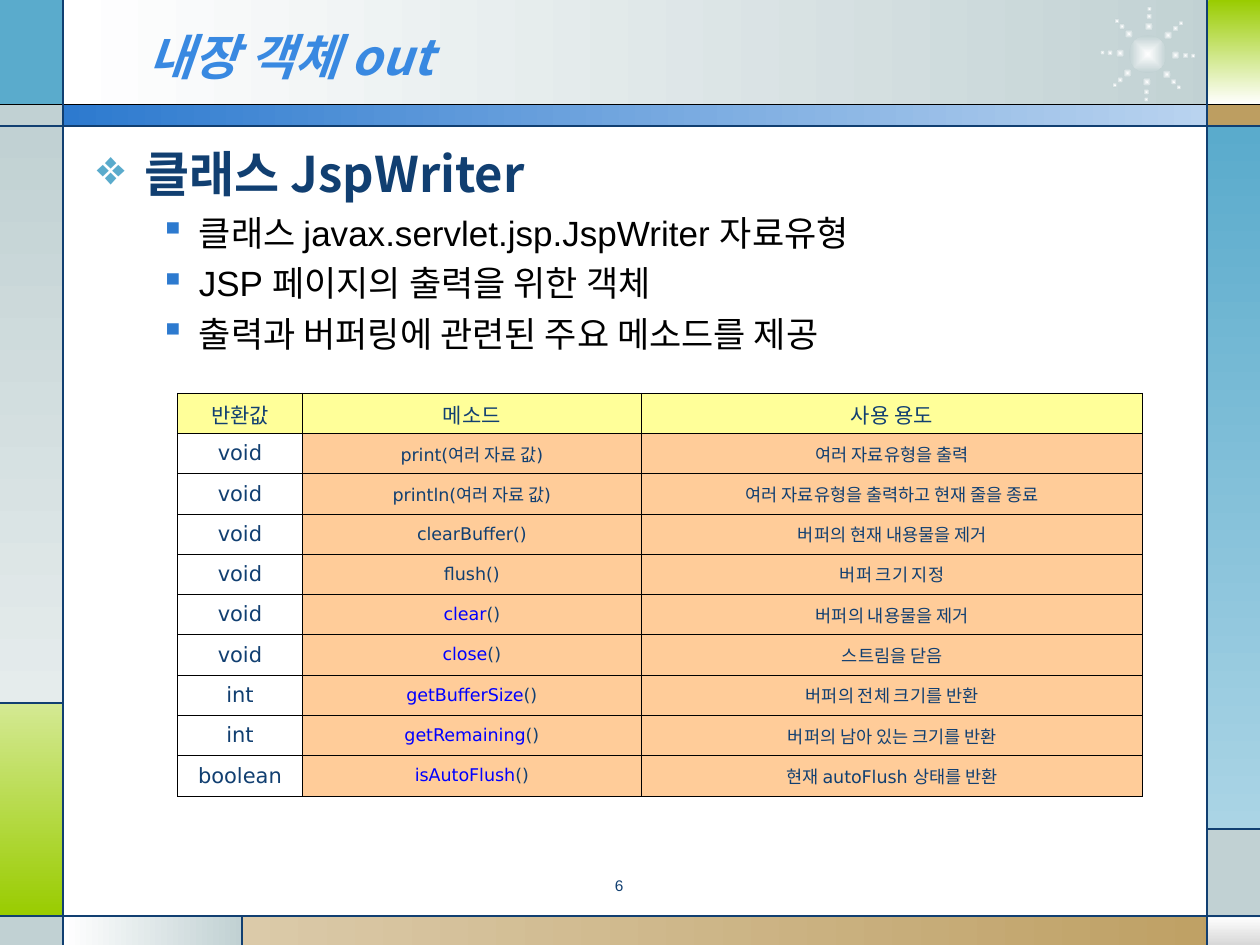
import math

from lxml import etree
from pptx import Presentation
from pptx.dml.color import RGBColor
from pptx.enum.shapes import MSO_CONNECTOR, MSO_SHAPE
from pptx.enum.text import MSO_ANCHOR, PP_ALIGN
from pptx.oxml.ns import qn
from pptx.util import Inches, Pt

RECT, OVAL = MSO_SHAPE.RECTANGLE, MSO_SHAPE.OVAL
STRAIGHT = MSO_CONNECTOR.STRAIGHT
LEFT, CENTER = PP_ALIGN.LEFT, PP_ALIGN.CENTER
TOP, MIDDLE = MSO_ANCHOR.TOP, MSO_ANCHOR.MIDDLE

WHITE = RGBColor(0xFF, 0xFF, 0xFF)
BLACK = RGBColor(0, 0, 0)
NAVY = RGBColor(0x11, 0x3F, 0x71)
TITLE_BLUE = RGBColor(0x39, 0x89, 0xE1)
BAR_BLUE = RGBColor(0x2D, 0x7A, 0xCF)
PALE_BLUE = RGBColor(0xB9, 0xD3, 0xEF)
TEAL = RGBColor(0x5A, 0xAB, 0xCC)
PALE_TEAL = RGBColor(0xAA, 0xD4, 0xE5)
MIST = RGBColor(0xC1, 0xD1, 0xD3)
PALE_MIST = RGBColor(0xE5, 0xEC, 0xEC)
SILVER = RGBColor(0xD8, 0xD8, 0xD8)
GREEN = RGBColor(0x99, 0xCC, 0x00)
PALE_GREEN = RGBColor(0xD4, 0xE9, 0x93)
TAN = RGBColor(0xBD, 0x9E, 0x61)
PALE_TAN = RGBColor(0xDB, 0xCA, 0xA9)
YELLOW = RGBColor(0xFF, 0xFF, 0x99)
PEACH = RGBColor(0xFF, 0xCC, 0x99)
LINK_BLUE = RGBColor(0, 0, 0xFF)

KOREAN = "Noto Sans CJK KR"
TITLE = {"name": KOREAN, "size": Pt(28), "bold": True, "italic": True}
HEADING = {"name": KOREAN, "size": Pt(28), "bold": True}
BODY = {"name": "Arial", "size": Pt(20)}
PAGE = {"name": "Arial", "size": Pt(8.8)}
CELL = {"name": "DejaVu Sans", "size": Pt(12)}
SMALL_CELL = {"name": "DejaVu Sans", "size": Pt(10)}
CELL_MARGINS = {"margin_left": Inches(0.07), "margin_right": Inches(0.07),
                "margin_top": Inches(0.05), "margin_bottom": Inches(0.05)}

ACROSS, DOWN = 0, 270
BANDS = [  # left, top, width, height, colours, gradient angle
    (0.5, 0, 9.27, 0.84, (WHITE, MIST), ACROSS),
    (0, 0, 0.5, 0.84, (TEAL,), None),
    (0, 0.83, 0.5, 0.17, (MIST,), None),
    (0, 1, 0.5, 4.58, (MIST, PALE_MIST), DOWN),
    (0, 5.58, 0.5, 1.69, (PALE_GREEN, GREEN), DOWN),
    (0, 7.27, 0.5, 0.23, (MIST,), None),
    (0.5, 7.27, 1.42, 0.23, (WHITE, MIST), ACROSS),
    (1.92, 7.27, 8.08, 0.23, (PALE_TAN, TAN), ACROSS),
    (9.58, 7.27, 0.42, 0.23, (WHITE, SILVER), DOWN),
    (9.58, 6.58, 0.42, 0.7, (MIST,), None),
    (9.58, 1, 0.42, 5.58, (TEAL, PALE_TEAL), DOWN),
    (9.58, 0.83, 0.42, 0.17, (TAN,), None),
    (9.59, 0, 0.41, 0.83, (GREEN, WHITE), DOWN),
    (0.5, 0.83, 9.08, 0.17, (BAR_BLUE, PALE_BLUE), ACROSS),
]
RULES = [  # from x, from y, to x, to y, colour
    (0, 0.83, 10, 0.83, BLACK),
    (0, 1, 10, 1, NAVY),
    (0, 7.27, 10, 7.27, NAVY),
    (0.5, 0, 0.5, 7.5, NAVY),
    (9.58, 0, 9.58, 7.5, NAVY),
    (0, 5.58, 0.5, 5.58, NAVY),
    (1.92, 7.27, 1.92, 7.5, NAVY),
    (9.58, 6.58, 10, 6.58, NAVY),
]
BURST_CENTER = (9.11, 0.43)
BURST_DOTS = [(0.22, 0.07), (0.3, 0.05), (0.36, 0.04)]  # radius, size

POINTS = ["클래스 javax.servlet.jsp.JspWriter 자료유형",
          "JSP 페이지의 출력을 위한 객체",
          "출력과 버퍼링에 관련된 주요 메소드를 제공"]
COLUMNS = [0.99, 2.69, 3.98]
HEADERS = ["반환값", "메소드", "사용 용도"]
METHODS = [  # return type, linked name, rest of the call, use
    ("void", "", "print(여러 자료 값)", "여러 자료유형을 출력"),
    ("void", "", "println(여러 자료 값)", "여러 자료유형을 출력하고 현재 줄을 종료"),
    ("void", "", "clearBuffer()", "버퍼의 현재 내용물을 제거"),
    ("void", "", "flush()", "버퍼 크기 지정"),
    ("void", "clear", "()", "버퍼의 내용물을 제거"),
    ("void", "close", "()", "스트림을 닫음"),
    ("int", "getBufferSize", "()", "버퍼의 전체 크기를 반환"),
    ("int", "getRemaining", "()", "버퍼의 남아 있는 크기를 반환"),
    ("boolean", "isAutoFlush", "()", "현재 autoFlush 상태를 반환"),
]


def set_all(target, values):
    for name, value in values.items():
        setattr(target, name, value)


def add_color(parent, color):
    fill = etree.SubElement(parent, qn("a:solidFill"))
    etree.SubElement(fill, qn("a:srgbClr"), val=str(color))


class SlideBuilder:
    def __init__(self, slide, east_asian):
        self.shapes = slide.shapes
        self.east_asian = east_asian

    def block(self, kind, box, colors, angle=None):
        """Draw a borderless shape in one colour or a two-colour gradient."""
        shape = self.shapes.add_shape(kind, *map(Inches, box))
        shape.shadow.inherit = False
        shape.line.fill.background()
        if len(colors) == 1:
            shape.fill.solid()
            shape.fill.fore_color.rgb = colors[0]
            return shape
        shape.fill.gradient()
        shape.fill.gradient_angle = angle or 0
        for stop, color, position in zip(shape.fill.gradient_stops, colors, (0, 1)):
            stop.color.rgb = color
            stop.position = position
        return shape

    def glow(self, x, y, size):
        """Draw a dot that fades outwards from its middle."""
        dot = self.block(OVAL, (x - size / 2, y - size / 2, size, size), (WHITE, MIST))
        gradient = dot._element.spPr.find(qn("a:gradFill"))
        gradient.remove(gradient.find(qn("a:lin")))
        fade = etree.SubElement(gradient, qn("a:path"), {"path": "rect"})
        etree.SubElement(fade, qn("a:fillToRect"), l="50000", t="50000", r="50000", b="50000")

    def rule(self, x1, y1, x2, y2, color):
        line = self.shapes.add_connector(STRAIGHT, *map(Inches, (x1, y1, x2, y2)))
        line.line.color.rgb = color
        line.line.width = Pt(0.75)
        etree.SubElement(line._element.spPr, qn("a:effectLst"))

    def text_frame(self, box, anchor=TOP):
        frame = self.shapes.add_textbox(*map(Inches, box)).text_frame
        frame.word_wrap = True
        frame.vertical_anchor = anchor
        return frame

    def add_text(self, paragraph, text, style, color, align=LEFT):
        paragraph.alignment = align
        run = paragraph.add_run()
        run.text = text
        set_all(run.font, style)
        run.font.color.rgb = color
        etree.SubElement(run._r.get_or_add_rPr(), qn("a:ea"), typeface=self.east_asian)

    def bullet(self, paragraph, char, color, margin, hanging, before):
        paragraph.space_before = Pt(before)
        props = paragraph._p.get_or_add_pPr()
        props.set("marL", str(Inches(margin)))
        props.set("indent", str(-Inches(hanging)))
        tint = etree.SubElement(props, qn("a:buClr"))
        etree.SubElement(tint, qn("a:srgbClr"), val=str(color))
        etree.SubElement(props, qn("a:buChar"), char=char)

    def table(self, left, top, widths, row_height, row_count):
        table = self.shapes.add_table(
            row_count, len(widths), Inches(left), Inches(top),
            Inches(sum(widths)), Inches(row_height * row_count)).table
        set_all(table, {"first_row": False, "horz_banding": False})
        for column, width in zip(table.columns, widths):
            column.width = Inches(width)
        return table

    def cell(self, cell, parts, style, fill=None):
        """Fill a bordered cell with (text, colour) parts."""
        set_all(cell, {**CELL_MARGINS, "vertical_anchor": MIDDLE})
        for text, color in parts:
            self.add_text(cell.text_frame.paragraphs[0], text, style, color, CENTER)
        props = cell._tc.get_or_add_tcPr()
        for side in ("a:lnL", "a:lnR", "a:lnT", "a:lnB"):
            add_color(etree.SubElement(props, qn(side), w=str(Pt(0.45))), BLACK)
        if fill is None:
            cell.fill.background()
        else:
            cell.fill.solid()
            cell.fill.fore_color.rgb = fill


def main():
    deck = Presentation()
    deck.slide_width, deck.slide_height = Inches(10), Inches(7.5)
    builder = SlideBuilder(deck.slides.add_slide(deck.slide_layouts[6]), KOREAN)

    for *box, colors, angle in BANDS:
        builder.block(RECT, box, colors, angle)
    center_x, center_y = BURST_CENTER
    builder.glow(center_x, center_y, 0.3)
    for ray in range(8):
        turn = math.radians(45 * ray + 2)
        for radius, size in BURST_DOTS:
            builder.glow(center_x + radius * math.cos(turn),
                         center_y + radius * math.sin(turn), size)
    for rule in RULES:
        builder.rule(*rule)

    title = builder.text_frame((1.08, 0.13, 7.33, 0.62), MIDDLE)
    builder.add_text(title.paragraphs[0], "내장 객체 out", TITLE, TITLE_BLUE)

    body = builder.text_frame((0.67, 1.09, 8.77, 5.63))
    heading = body.paragraphs[0]
    builder.add_text(heading, "클래스 JspWriter", HEADING, NAVY)
    builder.bullet(heading, "❖", TEAL, 0.38, 0.38, 7)
    for text in POINTS:
        point = body.add_paragraph()
        point.level = 1
        builder.add_text(point, text, BODY, BLACK)
        builder.bullet(point, "▪", BAR_BLUE, 0.81, 0.31, 5)

    page = builder.text_frame((3.75, 6.93, 2.33, 0.27)).paragraphs[0]
    page.line_spacing = 0.8
    builder.add_text(page, "6", PAGE, NAVY, CENTER)

    methods = builder.table(1.41, 3.12, COLUMNS, 0.32, len(METHODS) + 1)
    for column, header in enumerate(HEADERS):
        builder.cell(methods.cell(0, column), [(header, NAVY)], CELL, YELLOW)
    for row, (returned, linked, rest, use) in enumerate(METHODS, 1):
        call = [(linked, LINK_BLUE)] if linked else []
        builder.cell(methods.cell(row, 0), [(returned, NAVY)], CELL)
        builder.cell(methods.cell(row, 1), call + [(rest, NAVY)], SMALL_CELL, PEACH)
        builder.cell(methods.cell(row, 2), [(use, NAVY)], SMALL_CELL, PEACH)

    deck.save("out.pptx")


if __name__ == "__main__":
    main()
